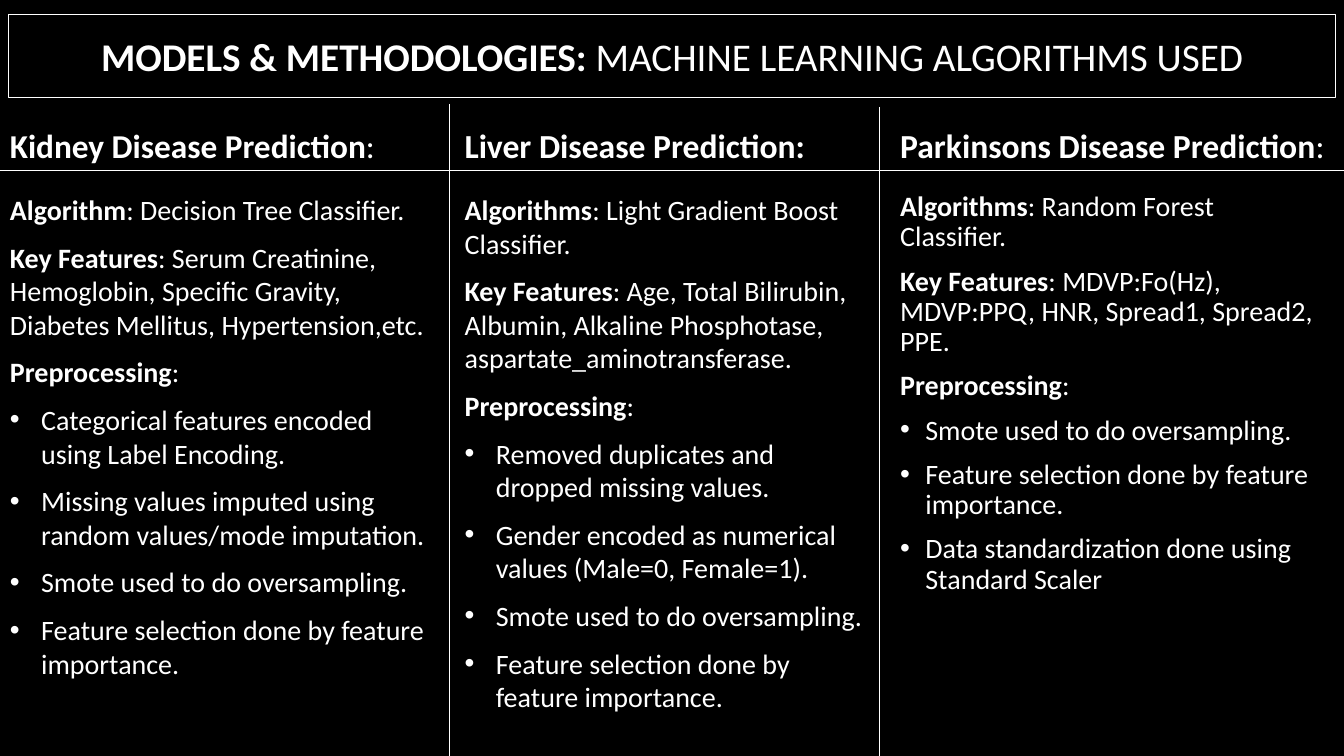
"""Build a slide comparing the prediction models for three diseases."""
import pptx
import pptx.util
import pptx.dml.color
import pptx.enum.shapes
import pptx.enum.text
import lxml.etree

Inches, Pt = pptx.util.Inches, pptx.util.Pt
ANCHOR = pptx.enum.text.MSO_ANCHOR
WHITE = pptx.dml.color.RGBColor(0xFF, 0xFF, 0xFF)
BLACK = pptx.dml.color.RGBColor(0, 0, 0)
W, H = 13.33, 7.5
HEAD_TOP, RULE_Y, BODY_TOP = 1.21, 1.69, 1.86


def add_paragraph(tf, bold, plain, size):
    p = tf.paragraphs[0] if not tf.paragraphs[0].runs else tf.add_paragraph()
    for text, is_bold in ((bold, True), (plain, False)):
        if text:
            r = p.add_run()
            r.text = text
            r.font.bold = is_bold
    p.font.size = Pt(size)
    p.font.name = "Calibri"
    p.font.color.rgb = WHITE
    return p


def add_box(s, left, top, width, height, anchor):
    tf = s.shapes.add_textbox(Inches(left), Inches(top), Inches(width), Inches(height)).text_frame
    tf.word_wrap = True
    tf.vertical_anchor = anchor
    return tf


COLUMNS = [
    dict(left=0, head=("Kidney Disease Prediction", ":"), head_size=23.8, head_width=3.93,
         width=4.44, indent=0.31, spacing=1, before=0, after=10,
         facts=[("Algorithm", ": Decision Tree Classifier."),
                ("Key Features", ": Serum Creatinine, Hemoglobin, Specific Gravity, "
                                 "Diabetes Mellitus, Hypertension,etc.")],
         steps=["Categorical features encoded using Label Encoding.",
                "Missing values imputed using random values/mode imputation.",
                "Smote used to do oversampling.",
                "Feature selection done by feature importance."]),
    dict(left=4.51, head=("Liver Disease Prediction:", ""), head_size=24, head_width=4.46,
         width=4.19, indent=0.31, spacing=1, before=0, after=10,
         facts=[("Algorithms", ": Light Gradient Boost Classifier."),
                ("Key Features", ": Age, Total Bilirubin, Albumin, Alkaline Phosphotase, "
                                 "aspartate_aminotransferase.")],
         steps=["Removed duplicates and dropped missing values.",
                "Gender encoded as numerical values (Male=0, Female=1).",
                "Smote used to do oversampling.",
                "Feature selection done by feature importance."]),
    dict(left=8.83, head=("Parkinsons Disease Prediction", ":"), head_size=24, head_width=4.5,
         width=4.3, indent=0.25, spacing=0.9, before=10, after=0,
         facts=[("Algorithms", ": Random Forest Classifier."),
                ("Key Features", ": MDVP:Fo(Hz), MDVP:PPQ, HNR, Spread1, Spread2, PPE.")],
         steps=["Smote used to do oversampling.",
                "Feature selection done by feature importance.",
                "Data standardization done using Standard Scaler"]),
]

prs = pptx.Presentation()
prs.slide_width, prs.slide_height = Inches(W), Inches(H)
s = prs.slides.add_slide(prs.slide_layouts[6])
s.background.fill.solid()
s.background.fill.fore_color.rgb = BLACK

sp = s.shapes.add_shape(pptx.enum.shapes.MSO_SHAPE.RECTANGLE,
                        Inches(0.08), Inches(0.14), Inches(W - 0.16), Inches(0.83))
sp.shadow.inherit = False
sp.fill.background()
sp.line.color.rgb = WHITE
sp.line.width = Pt(0.75)
sp.text_frame.word_wrap = True
sp.text_frame.vertical_anchor = ANCHOR.MIDDLE
p = add_paragraph(sp.text_frame, "MODELS & METHODOLOGIES: ", "MACHINE LEARNING ALGORITHMS USED", 28)
p.alignment = pptx.enum.text.PP_ALIGN.CENTER

for col in COLUMNS:
    tf = add_box(s, col["left"], HEAD_TOP, col["head_width"], RULE_Y - HEAD_TOP, ANCHOR.BOTTOM)
    p = add_paragraph(tf, *col["head"], col["head_size"])
    p.line_spacing = 0.9 if col["left"] == 4.51 else 1.0

    tf = add_box(s, col["left"], BODY_TOP, col["width"], H - BODY_TOP, ANCHOR.TOP)
    facts = col["facts"] + [("Preprocessing", ":")]
    for i, (bold, plain) in enumerate(facts + [("", step) for step in col["steps"]]):
        p = add_paragraph(tf, bold, plain, 20)
        if not bold:
            pPr = p._p.get_or_add_pPr()
            pPr.set("marL", str(Inches(col["indent"])))
            pPr.set("indent", str(-Inches(col["indent"])))
            ns = "{http://schemas.openxmlformats.org/drawingml/2006/main}"
            bu_font = lxml.etree.Element(ns + "buFont", typeface="Arial")
            bu_char = lxml.etree.Element(ns + "buChar", char="•")
            pPr.insert(0, bu_font)
            pPr.insert(1, bu_char)
        p.line_spacing = float(col["spacing"])
        p.space_before = Pt(col["before"] if i else 0)
        p.space_after = Pt(col["after"])

for x1, y1, x2, y2 in ((0, RULE_Y, W, RULE_Y), (4.46, 1.03, 4.46, H), (8.72, 1.06, 8.72, H)):
    line = s.shapes.add_connector(pptx.enum.shapes.MSO_CONNECTOR.STRAIGHT,
                                  Inches(x1), Inches(y1), Inches(x2), Inches(y2))
    line.line.color.rgb = WHITE
    line.line.width = Pt(0.75)
    lxml.etree.SubElement(line._element.spPr,
                          "{http://schemas.openxmlformats.org/drawingml/2006/main}effectLst")

prs.save("out.pptx")
